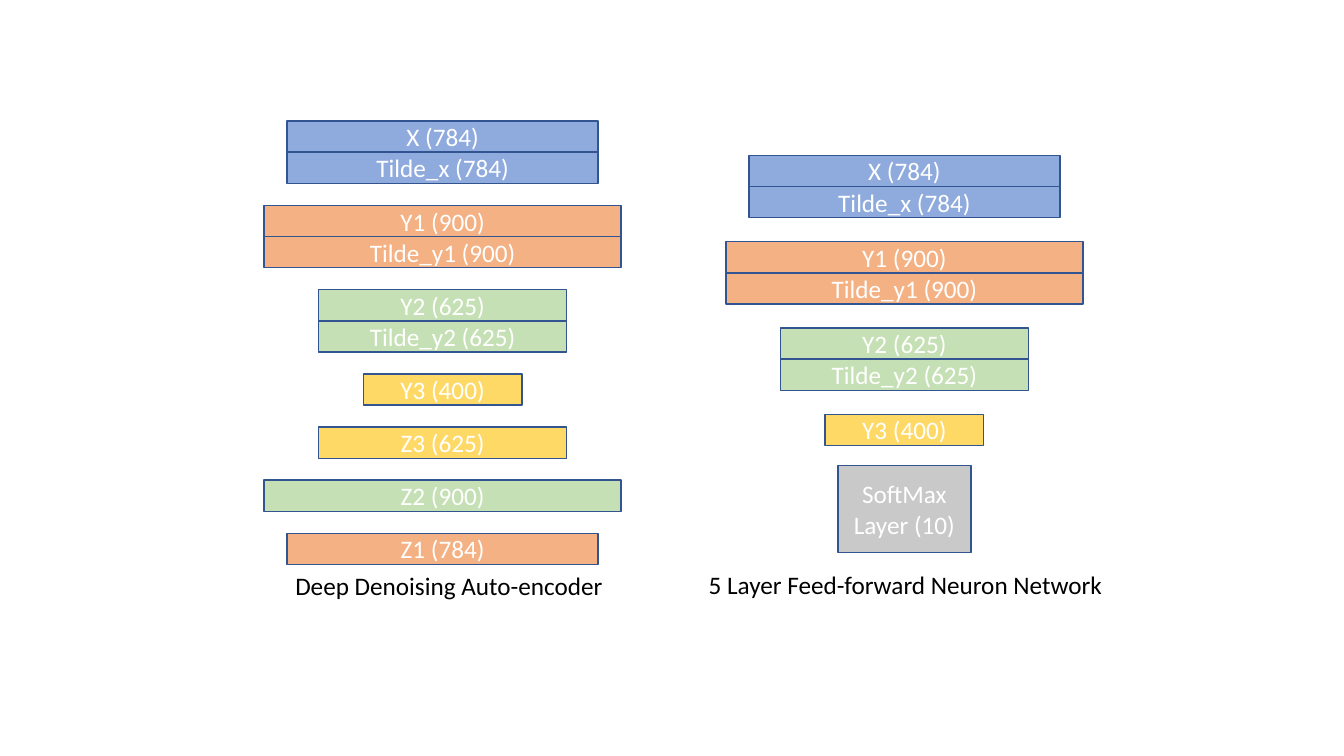
import pptx
import pptx.util
import pptx.dml.color
import pptx.enum.shapes
import pptx.enum.text

Inches = pptx.util.Inches
ALIGN = pptx.enum.text.PP_ALIGN
ANCHOR = pptx.enum.text.MSO_ANCHOR

BLUE, ORANGE, GREEN, YELLOW, GRAY = "8FAADC", "F4B183", "C5E0B4", "FFD966", "C9C9C9"
BAR_HEIGHT = 0.31
INCHES_PER_UNIT = 3.54 / 900


def rgb(value):
    return pptx.dml.color.RGBColor.from_string(value)


def write(frame, text, size=18, color="FFFFFF", font="Calibri", align=ALIGN.CENTER,
          anchor=ANCHOR.MIDDLE, wrap=True):
    frame.word_wrap = wrap
    frame.vertical_anchor = anchor
    paragraph = frame.paragraphs[0]
    paragraph.alignment = align
    run = paragraph.add_run()
    run.text = text
    run.font.size = pptx.util.Pt(size)
    run.font.name = font
    run.font.color.rgb = rgb(color)


class Diagram:
    outline = "325491"
    outline_width = 1

    def __init__(self, slide):
        self.slide = slide

    def box(self, text, left, top, width, height, fill, shapes=None):
        shapes = self.slide.shapes if shapes is None else shapes
        layer_box = shapes.add_shape(
            pptx.enum.shapes.MSO_SHAPE.RECTANGLE,
            Inches(left), Inches(top), Inches(width), Inches(height))
        layer_box.shadow.inherit = False
        layer_box.fill.solid()
        layer_box.fill.fore_color.rgb = rgb(fill)
        layer_box.line.color.rgb = rgb(self.outline)
        layer_box.line.width = pptx.util.Pt(self.outline_width)
        write(layer_box.text_frame, text)

    def layer(self, names, units, fill, center, top):
        """Draw the bars of one layer; a clean and noisy pair is grouped."""
        shapes = self.slide.shapes
        if len(names) > 1:
            shapes = shapes.add_group_shape().shapes
        width = units * INCHES_PER_UNIT
        for row, name in enumerate(names):
            self.box(f"{name} ({units})", center - width / 2, top + row * BAR_HEIGHT,
                     width, BAR_HEIGHT, fill, shapes)

    def network(self, layers, center, top, bottom):
        """Stack layers with equal gaps between top and bottom."""
        bars = sum(len(names) for names, _, _ in layers)
        gap = (bottom - top - bars * BAR_HEIGHT) / (len(layers) - 1)
        for names, units, fill in layers:
            self.layer(names, units, fill, center, top)
            top += len(names) * BAR_HEIGHT + gap

    def caption(self, text, left, top, width):
        label = self.slide.shapes.add_textbox(
            Inches(left), Inches(top), Inches(width), Inches(0.4))
        write(label.text_frame, text, color="000000", align=ALIGN.LEFT,
              anchor=ANCHOR.TOP, wrap=False)
        label.text_frame.auto_size = pptx.enum.text.MSO_AUTO_SIZE.SHAPE_TO_FIT_TEXT


presentation = pptx.Presentation()
presentation.slide_width, presentation.slide_height = Inches(13.33), Inches(7.5)
diagram = Diagram(presentation.slides.add_slide(presentation.slide_layouts[6]))

# Layers shared by both networks, then the decoder
encoder = [
    (["X", "Tilde_x"], 784, BLUE),
    (["Y1", "Tilde_y1"], 900, ORANGE),
    (["Y2", "Tilde_y2"], 625, GREEN),
    (["Y3"], 400, YELLOW),
]
decoder = [(["Z3"], 625, YELLOW), (["Z2"], 900, GREEN), (["Z1"], 784, ORANGE)]

# Auto-encoder
diagram.network(encoder + decoder, center=4.39, top=1.2, bottom=5.6)
diagram.caption("Deep Denoising Auto-encoder", 2.83, 5.61, 3.29)

# Feed-forward network
diagram.network(encoder, center=8.97, top=1.54, bottom=4.42)
diagram.box("SoftMax Layer (10)", 8.31, 4.62, 1.32, 0.86, GRAY)
diagram.caption("5 Layer Feed-forward Neuron Network", 6.93, 5.6, 4.15)

presentation.save("out.pptx")
